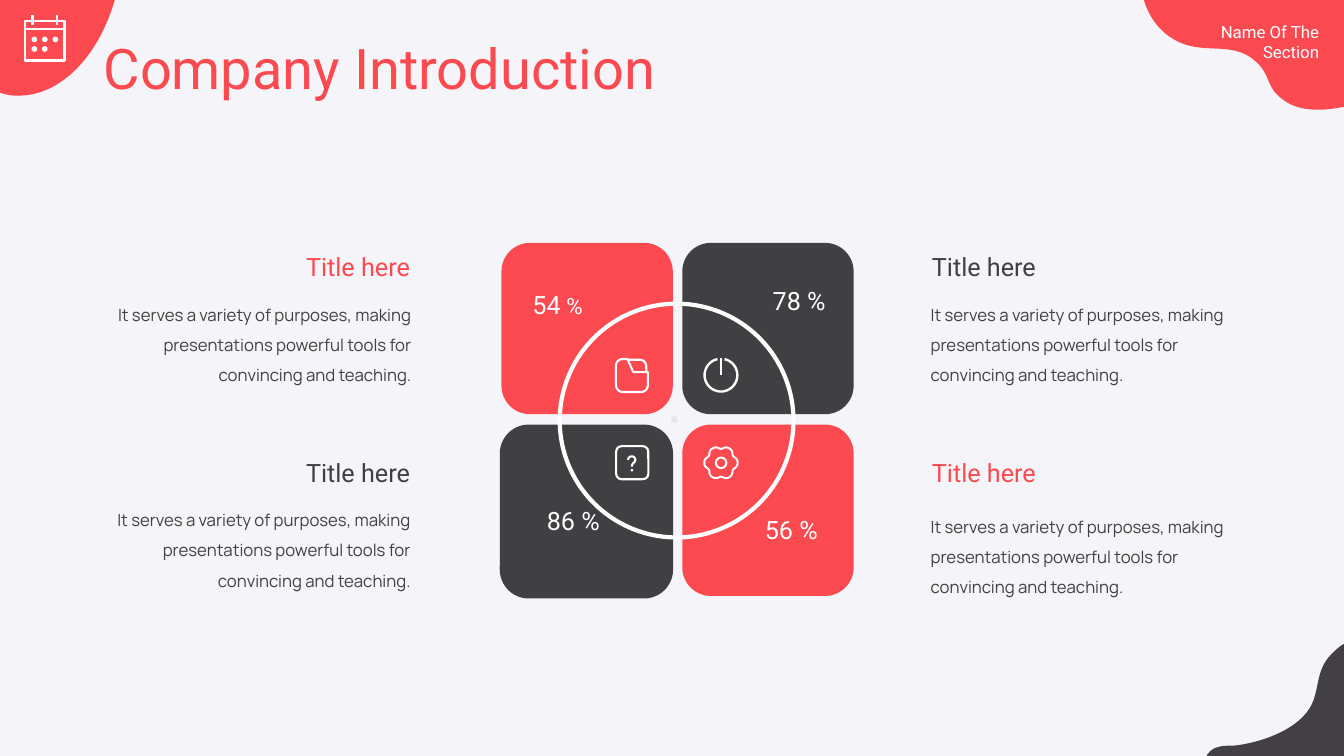
from collections import namedtuple
from math import cos, pi, sin

from lxml.etree import SubElement
from pptx import Presentation
from pptx.dml.color import RGBColor
from pptx.enum.shapes import MSO_CONNECTOR, MSO_SHAPE
from pptx.enum.text import MSO_ANCHOR, MSO_AUTO_SIZE, PP_ALIGN
from pptx.oxml.ns import qn
from pptx.util import Pt

COLOURS = {
    "background": "F5F5F9",
    "red": "FD4A51",
    "dark": "404043",
    "corner": "434043",
    "body": "404040",
    "white": "FFFFFF",
    "centre": "E7E6E6",
}
DESCRIPTION = ("It serves a variety of purposes, making presentations "
               "powerful tools for convincing and teaching.")
Box = namedtuple("Box", "left top width height")
Quadrant = namedtuple(
    "Quadrant", "panel colour percent percent_box align title_box description_box icon")


def colour(name):
    """Return the named palette colour."""
    return RGBColor.from_string(COLOURS[name])


def inside(box, left, top, width, height):
    """Return a box whose place is relative to an outer box."""
    return Box(box.left + left, box.top + top, width, height)


def style_shape(shape, fill=None, line=None, weight=1.5):
    """Give a shape its fill and outline and no shadow."""
    shape.shadow.inherit = False
    if fill:
        shape.fill.solid()
        shape.fill.fore_color.rgb = colour(fill)
    else:
        shape.fill.background()
    if line:
        shape.line.color.rgb = colour(line)
        shape.line.width = Pt(weight)
    else:
        shape.line.fill.background()


def add_preset(slide, kind, box, **style):
    """Add a styled preset shape that fills a box."""
    shape = slide.shapes.add_shape(kind, *map(Pt, box))
    style_shape(shape, **style)


def add_outline(slide, box, points, close=True, **style):
    """Add a styled outline through points relative to a box."""
    places = [(Pt(box.left + x), Pt(box.top + y)) for x, y in points]
    builder = slide.shapes.build_freeform(*places[0], scale=1.0)
    builder.add_line_segments(places[1:], close=close)
    style_shape(builder.convert_to_shape(), **style)


def trace(start, *segments, steps=16):
    """Return points along lines (one point) and Bezier curves (three points)."""
    points = [start]
    for segment in segments:
        if len(segment) == 1:
            points.append(segment[0])
            continue
        controls = (points[-1], *segment)
        for step in range(1, steps + 1):
            t = step / steps
            weights = ((1 - t) ** 3, 3 * t * (1 - t) ** 2, 3 * t * t * (1 - t), t ** 3)
            points.append(tuple(sum(weight * point[axis] for weight, point in zip(weights, controls))
                                for axis in (0, 1)))
    return points


def add_stroke(slide, box, start, end, weight=1.5):
    """Add a white straight line between two points of a box."""
    connector = slide.shapes.add_connector(
        MSO_CONNECTOR.STRAIGHT, Pt(box.left + start[0]), Pt(box.top + start[1]),
        Pt(box.left + end[0]), Pt(box.top + end[1]))
    connector.line.color.rgb = colour("white")
    connector.line.width = Pt(weight)
    SubElement(connector._element.spPr, qn("a:effectLst"))


def write_text(frame, runs, tint, font="Roboto", align=PP_ALIGN.LEFT, spacing=None):
    """Write one paragraph from (text, size) runs."""
    frame.word_wrap = True
    frame.vertical_anchor = MSO_ANCHOR.TOP
    paragraph = frame.paragraphs[0]
    paragraph.alignment = align
    if spacing:
        paragraph.line_spacing = spacing
    for text, size in runs:
        run = paragraph.add_run()
        run.text = text
        run.font.name = font
        run.font.size = Pt(size)
        run.font.color.rgb = colour(tint)


def add_text(slide, box, runs, tint, **style):
    """Add a text box that grows with its text."""
    frame = slide.shapes.add_textbox(*map(Pt, box)).text_frame
    write_text(frame, runs, tint, **style)
    frame.auto_size = MSO_AUTO_SIZE.SHAPE_TO_FIT_TEXT


def add_title(slide, box):
    """Move the title placeholder to its box, in front of the corners, and fill it."""
    title = slide.shapes.title
    title.left, title.top, title.width, title.height = map(Pt, box)
    title.text_frame.auto_size = MSO_AUTO_SIZE.NONE
    write_text(title.text_frame, [("Company Introduction", 40)], "red")
    title._element.getparent().append(title._element)


def add_calendar_corner(slide, box):
    """Draw the top left corner with its calendar icon."""
    add_outline(slide, box, trace(
        (82, 0), ((70.6, 39.6), (43.9, 68.4), (13, 68.4)),
        ((8.6, 68.4), (4.3, 67.7), (0, 66.2)), ((0, 0),)), fill="red")
    icon = inside(box, 16.6, 10.3, 30, 34)
    add_preset(slide, MSO_SHAPE.RECTANGLE, inside(icon, 1.2, 4.6, 28.4, 28.4),
               line="white", weight=1.8)
    add_stroke(slide, icon, (1.2, 10.4), (29.6, 10.4), 1.8)
    for x in (6.8, 24.1):
        add_stroke(slide, icon, (x, 0.3), (x, 7.6), 2)
    for index in range(5):
        row, column = divmod(index, 3)
        add_preset(slide, MSO_SHAPE.OVAL,
                   inside(icon, 5.9 + 7.5 * column, 15.9 + 6.8 * row, 4, 4), fill="white")


def add_section_corner(slide, box):
    """Draw the top right corner with the section name."""
    add_outline(slide, box, trace(
        (143, 0), ((143, 76.3),), ((129, 79.2), (110.9, 80.6), (98.6, 70.6)),
        ((87.1, 61.9), (90.7, 53.3), (79.9, 43.9)), ((61.9, 27.4), (39.6, 41.8), (18, 25.9)),
        ((8.6, 19.4), (2.9, 9.4), (0, 0))), fill="red")
    add_text(slide, inside(box, 22.9, 12.2, 109.4, 36), [("Name Of The Section", 12)],
             "white", align=PP_ALIGN.RIGHT)


def add_bottom_corner(slide, box):
    """Draw the bottom right corner."""
    add_outline(slide, box, trace(
        (98, 0), ((98, 80),), ((0, 80),), ((0, 79.3), (0.7, 78.6), (1.4, 77.8)),
        ((5.8, 72), (15.8, 72.7), (18, 72.7)), ((31, 72), (59, 64.8), (71.3, 49)),
        ((82.8, 34.6), (74.9, 18.7), (92.2, 4.3)), ((94.3, 2.2), (96.5, 0.7), (98, 0))),
        fill="corner")


def add_folder_icon(slide, box):
    """Draw the folder icon."""
    add_outline(slide, box, trace(
        (9, 0.8), ((13.2, 10.2),), ((23.6, 10.2),), ((23.6, 19.4),),
        ((23.6, 22.2), (21.5, 24.4), (18.7, 24.4)), ((5.8, 24.4),),
        ((3, 24.4), (0.8, 22.2), (0.8, 19.4)), ((0.8, 5.8),),
        ((0.8, 3), (3, 0.8), (5.8, 0.8))), line="white")
    add_outline(slide, box, trace(
        (9.2, 1.4), ((18, 1.4),), ((20.5, 1.4), (22.4, 3.5), (22.4, 6.2)), ((22.4, 10),)),
        close=False, line="white")


def add_power_icon(slide, box):
    """Draw the power icon."""
    angles = [pi * (12.5 + 335 * step / 60) / 180 for step in range(61)]
    add_outline(slide, box, [(12.4 + 11.7 * sin(a), 12.4 - 11.7 * cos(a)) for a in angles],
                close=False, line="white", weight=1.7)
    add_stroke(slide, box, (12.4, 0), (12.4, 12.4), 1.7)


def add_question_icon(slide, box):
    """Draw the question mark icon."""
    add_preset(slide, MSO_SHAPE.ROUNDED_RECTANGLE, inside(box, 0.9, 0.5, 23, 23.6), line="white")
    add_outline(slide, box, trace(
        (9.4, 10.3), ((9.6, 7), (14.6, 7), (14.6, 10.3)),
        ((14.6, 12.4), (12.2, 12.2), (12.2, 15.2))), close=False, line="white")
    add_preset(slide, MSO_SHAPE.OVAL, inside(box, 11.3, 16.8, 1.8, 1.8), fill="white")


def add_gear_icon(slide, box):
    """Draw the gear icon."""
    angles = [2 * pi * step / 72 for step in range(72)]
    radii = [11.1 + cos(6 * angle) - 0.2 * cos(12 * angle) for angle in angles]
    add_outline(slide, box, [(12.4 + radius * cos(angle), 12.4 + radius * sin(angle))
                             for angle, radius in zip(angles, radii)], line="white", weight=1.4)
    add_preset(slide, MSO_SHAPE.OVAL, inside(box, 8.7, 8.6, 7.6, 7.6), line="white", weight=1.4)


def add_diagram(slide, box):
    """Draw the four panels, the ring, their icons and texts."""
    right, left = PP_ALIGN.RIGHT, PP_ALIGN.LEFT
    quadrants = [
        Quadrant((284.2, 0, 122.4, 122.4), "red", [("54", 18), (" %", 16)], (283.8, 29.5), right,
                 (91.4, 2.2), (0.2, 33.4, 226.8), (add_folder_icon, 365.2, 82.1)),
        Quadrant((413.4, 0, 122.4, 122.4), "dark", [("78 %", 18)], (470.8, 26.7), left,
                 (584.6, 2.2), (583.7, 33.4, 228.2), (add_power_icon, 428.6, 82.1)),
        Quadrant((283, 129.8, 123.8, 124.2), "dark", [("86 %", 18)], (296, 183.6), right,
                 (91.4, 149.8), (-0.3, 180, 226.8), (add_question_icon, 365.2, 144.7)),
        Quadrant((413.4, 129.8, 122.4, 122.4), "red", [("56 %", 18)], (465.2, 190.4), left,
                 (584.6, 149.8), (583.7, 184.5, 228.2), (add_gear_icon, 428.6, 144.7)),
    ]
    add_preset(slide, MSO_SHAPE.RECTANGLE, inside(box, 405.5, 123.9, 4.3, 4.3), fill="centre")
    for quadrant in quadrants:
        add_preset(slide, MSO_SHAPE.ROUNDED_RECTANGLE, inside(box, *quadrant.panel),
                   fill=quadrant.colour)
    add_preset(slide, MSO_SHAPE.OVAL, inside(box, 325.8, 43.4, 167, 167), line="white", weight=3)
    for quadrant in quadrants:
        align = quadrant.align
        add_text(slide, inside(box, *quadrant.percent_box, 65.5, 28.1), quadrant.percent,
                 "white", align=align)
        add_text(slide, inside(box, *quadrant.title_box, 134.6, 28.1), [("Title here", 18)],
                 quadrant.colour, align=align)
        add_text(slide, inside(box, *quadrant.description_box, 70.6), [(DESCRIPTION, 12)],
                 "body", font="Manrope", align=align, spacing=1.5)
        draw_icon, x, y = quadrant.icon
        draw_icon(slide, inside(box, x, y, 25, 25))


def main():
    """Build the slide and save it."""
    presentation = Presentation()
    presentation.slide_width, presentation.slide_height = Pt(960), Pt(540)
    slide = presentation.slides.add_slide(presentation.slide_layouts[5])
    add_preset(slide, MSO_SHAPE.RECTANGLE, Box(0, 0, 960, 540), fill="background")
    add_section_corner(slide, Box(817, 0, 143, 81))
    add_bottom_corner(slide, Box(862, 460, 98, 80))
    add_calendar_corner(slide, Box(0, 0, 82, 68.4))
    add_title(slide, Box(66.8, 20.2, 604, 55.4))
    add_diagram(slide, Box(74, 173.5, 812, 255))
    presentation.save("out.pptx")


if __name__ == "__main__":
    main()
